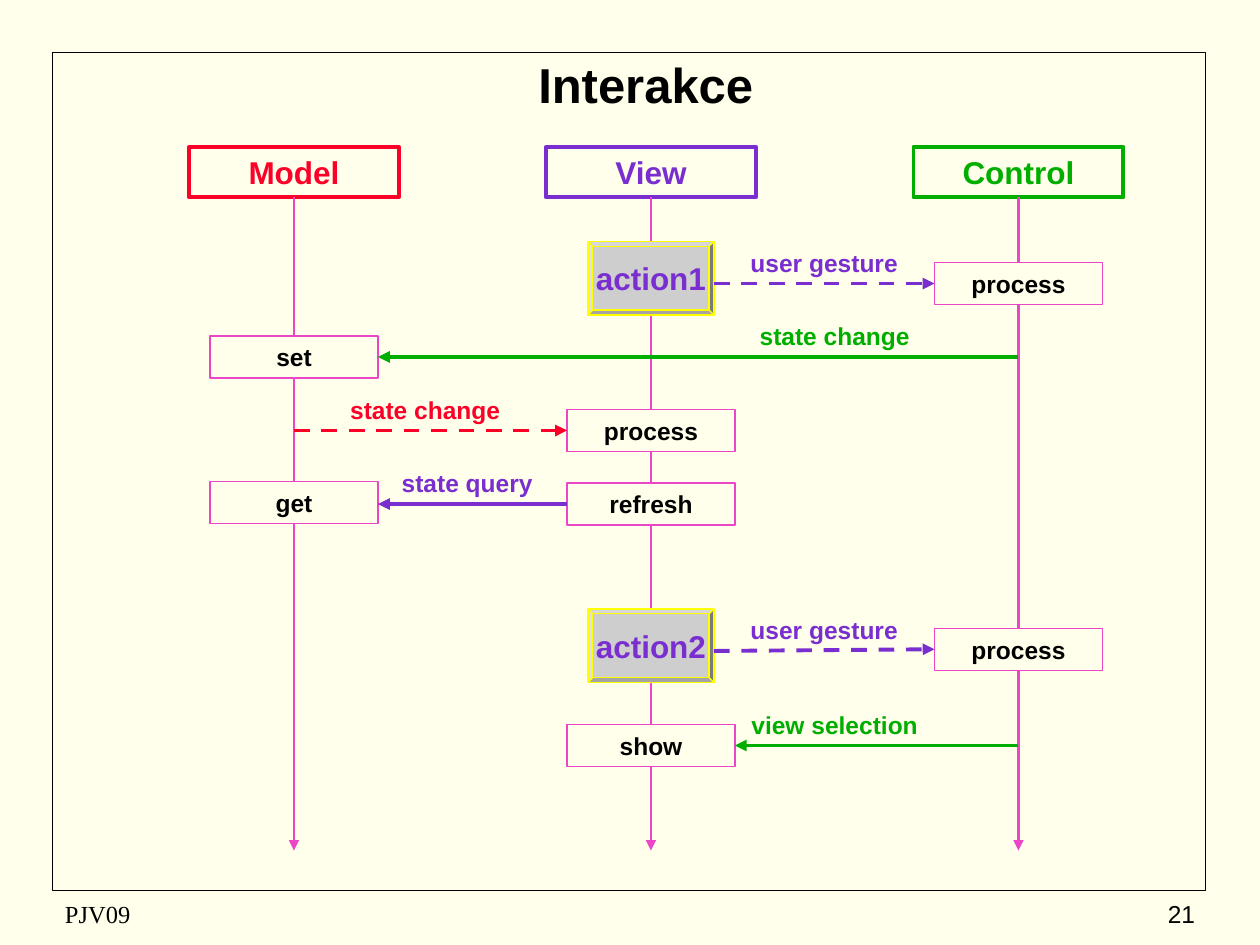
from pptx import Presentation
from pptx.dml.color import RGBColor
from pptx.enum.dml import MSO_LINE
from pptx.enum.shapes import MSO_CONNECTOR, MSO_SHAPE
from pptx.enum.text import MSO_ANCHOR, PP_ALIGN
from pptx.oxml.ns import qn
from pptx.util import Pt
from lxml.etree import SubElement

CREAM, BLACK, PINK = "FFFFEB", "000000", "EC46C8"
RED, VIOLET, GREEN = "FC0128", "7B2ED0", "00AE00"
GREY, YELLOW = "CECECE", "FFFF00"

MODEL_X, VIEW_X, CONTROL_X = 168, 372, 582
LIFELINE_END = 486
BOTTOM, LEFT, RIGHT = 2, 1, 3  # connection sites of a rectangle


def colour(value):
    return RGBColor.from_string(value)


def write(shape, text, size, text_colour, bold=True, align=PP_ALIGN.CENTER,
          anchor=MSO_ANCHOR.MIDDLE, font="Arial", wrap=True):
    frame = shape.text_frame
    frame.text = text
    frame.word_wrap = wrap
    frame.vertical_anchor = anchor
    para = frame.paragraphs[0]
    para.alignment = align
    para.font.name = font
    para.font.size = Pt(size)
    para.font.bold = bold
    para.font.color.rgb = colour(text_colour)


def add_box(page, left, top, width, height, line, line_width,
            fill=None, kind=MSO_SHAPE.RECTANGLE):
    box = page.shapes.add_shape(kind, Pt(left), Pt(top), Pt(width), Pt(height))
    box.shadow.inherit = False
    box.line.color.rgb = colour(line)
    box.line.width = Pt(line_width)
    if fill:
        box.fill.solid()
        box.fill.fore_color.rgb = colour(fill)
    else:
        box.fill.background()
    return box


def add_text(page, text, left, top, width, text_colour, **options):
    box = page.shapes.add_textbox(Pt(left), Pt(top), Pt(width), Pt(24))
    write(box, text, 14, text_colour, **options)


def add_arrow(page, start, end, line, width, dashed=False):
    arrow = page.shapes.add_connector(
        MSO_CONNECTOR.STRAIGHT, *(Pt(value) for value in start + end))
    arrow.line.color.rgb = colour(line)
    arrow.line.width = Pt(width)
    if dashed:
        arrow.line.dash_style = MSO_LINE.DASH
    properties = arrow._element.spPr
    SubElement(properties.get_or_add_ln(), qn("a:tailEnd"), type="triangle")
    SubElement(properties, qn("a:effectLst"))
    return arrow


def add_participant(page, name, centre, name_colour):
    """Header box with its lifeline below."""
    header = add_box(page, centre - 60, 84, 120, 28.8, name_colour, 2.25)
    write(header, name, 18, name_colour)
    lifeline = add_arrow(page, (centre, 112.8), (centre, LIFELINE_END), PINK, 1.5)
    lifeline.begin_connect(header, BOTTOM)


def add_step(page, text, centre, top):
    step = add_box(page, centre - 48, top, 96, 24, PINK, 0.75, CREAM)
    write(step, text, 14, BLACK)
    return step


def add_button(page, text, top):
    button = add_box(page, VIEW_X - 36, top, 72, 42, YELLOW, 0.75, GREY,
                     MSO_SHAPE.BEVEL)
    button.adjustments[0] = 0.065
    write(button, text, 18, VIOLET, wrap=False)


def add_message(page, text, line, start, end, y, label_centre, dashed=False):
    """Arrow at height y with its label just above."""
    arrow = add_arrow(page, (start, y), (end, y), line, 2.25, dashed)
    add_text(page, text, label_centre - 81, y - 24, 162, line,
             anchor=MSO_ANCHOR.TOP)
    return arrow


def main():
    deck = Presentation()
    deck.slide_width, deck.slide_height = Pt(720), Pt(540)
    page = deck.slides.add_slide(deck.slide_layouts[5])
    page.background.fill.solid()
    page.background.fill.fore_color.rgb = colour(CREAM)

    # Frame and title
    add_box(page, 30, 30, 659, 479, BLACK, 1)
    title = page.shapes.title
    title.left, title.top, title.width, title.height = Pt(48), Pt(24), Pt(642), Pt(48)
    write(title, "Interakce", 28, BLACK)

    # Participants
    add_participant(page, "Model", MODEL_X, RED)
    add_participant(page, "View", VIEW_X, VIOLET)
    add_participant(page, "Control", CONTROL_X, GREEN)

    # Steps on the lifelines
    add_button(page, "action1", 138)
    add_button(page, "action2", 348)
    control_first = add_step(page, "process", CONTROL_X, 150)
    control_second = add_step(page, "process", CONTROL_X, 359)
    model_set = add_step(page, "set", MODEL_X, 192)
    add_step(page, "get", MODEL_X, 275)
    view_process = add_step(page, "process", VIEW_X, 234)
    view_refresh = add_step(page, "refresh", VIEW_X, 276)
    view_show = add_step(page, "show", VIEW_X, 414)

    # Messages that end at a step
    button_edge = VIEW_X + 36
    for text, line, start, end, y, centre, dashed, receiver, side in (
            ("user gesture", VIOLET, button_edge, CONTROL_X - 48, 162, 471,
             True, control_first, LEFT),
            ("state change", GREEN, CONTROL_X, MODEL_X + 48, 204, 477,
             False, model_set, RIGHT),
            ("state change", RED, MODEL_X, VIEW_X - 48, 246, 243,
             True, view_process, LEFT),
            ("user gesture", VIOLET, button_edge, CONTROL_X - 48, 372, 471,
             True, control_second, LEFT),
            ("view selection", GREEN, CONTROL_X, VIEW_X + 48, 426, 477,
             False, view_show, RIGHT)):
        arrow = add_message(page, text, line, start, end, y, centre, dashed)
        arrow.end_connect(receiver, side)

    # Query that starts at a step
    query = add_message(page, "state query", VIOLET, VIEW_X - 48, MODEL_X + 48,
                        288, 267)
    query.begin_connect(view_refresh, LEFT)

    # Footer
    add_text(page, "PJV09", 30, 510, 228, BLACK, bold=False,
             align=PP_ALIGN.LEFT, font="Times New Roman")
    add_text(page, "21", 540, 510, 150, BLACK, bold=False, align=PP_ALIGN.RIGHT)

    deck.save("out.pptx")


if __name__ == "__main__":
    main()
